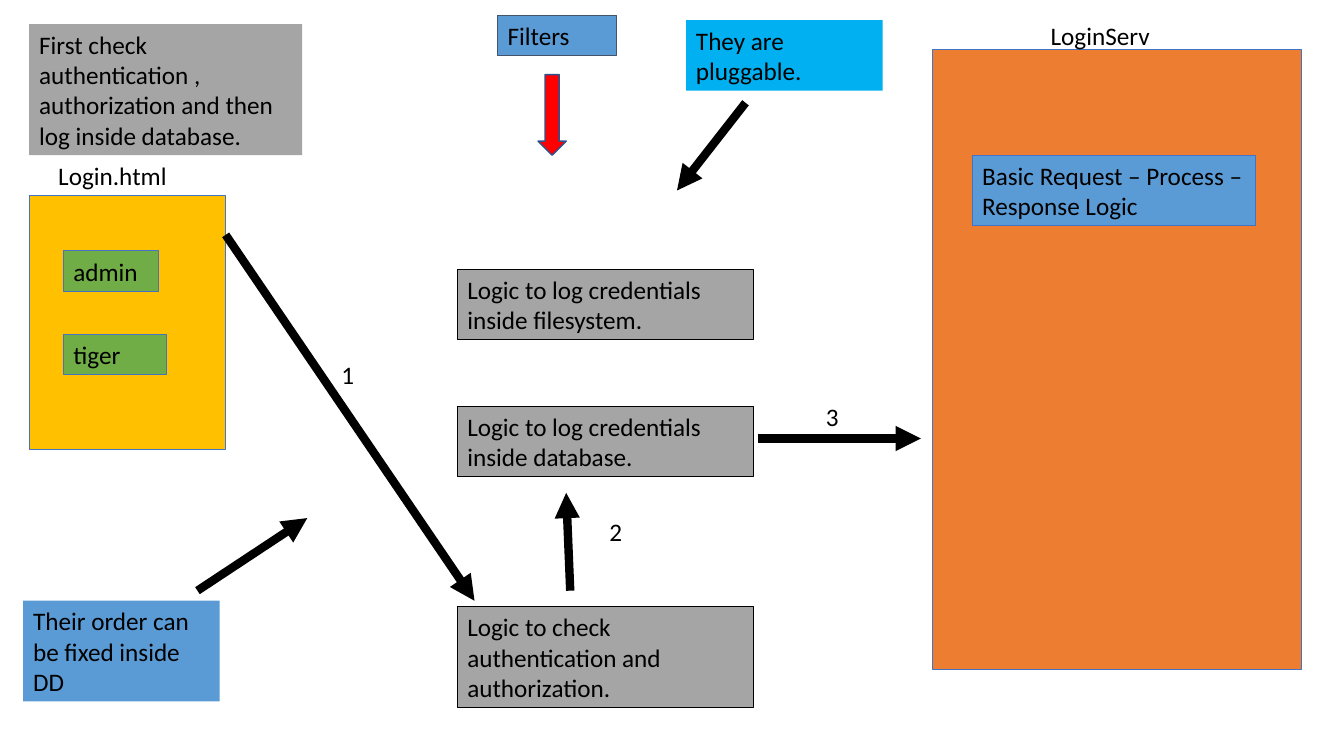
"""Builds a slide showing how login requests pass through pluggable filters."""
from lxml import etree
from pptx import Presentation
from pptx import util as u
from pptx.dml import color
from pptx.enum import shapes, text
from pptx.oxml import ns

COLOURS = {
    "black": "000000", "grey": "A5A5A5", "blue": "5B9BD5", "sky": "00B0F0",
    "orange": "ED7D31", "gold": "FFC000", "green": "70AD47", "red": "FF0000",
    "outline": "4472C4", "slate": "44546A", "navy": "2F528F",
}


class FilterSlide:
    """Holds the style and the slide, laid out on a grid of tenth-inch cells."""

    cell = u.Inches(0.1)
    font = {"name": "Calibri", "size": u.Pt(18)}
    frame = {
        "word_wrap": True,
        "auto_size": text.MSO_AUTO_SIZE.SHAPE_TO_FIT_TEXT,
        "vertical_anchor": text.MSO_ANCHOR.TOP,
    }

    def __init__(self, presentation):
        self.slide = presentation.slides.add_slide(presentation.slide_layouts[6])

    def grid(self, *cells):
        return [round(count * self.cell) for count in cells]

    def colour(self, name):
        return color.RGBColor.from_string(COLOURS[name])

    def apply(self, target, values):
        for name, value in values.items():
            setattr(target, name, value)

    def put_words(self, shape, words):
        self.apply(shape.text_frame, self.frame)
        paragraph = shape.text_frame.paragraphs[0]
        paragraph.text = words
        paragraph.alignment = text.PP_ALIGN.LEFT
        self.apply(paragraph.font, self.font)
        paragraph.font.color.rgb = self.colour("black")

    def block(self, place, fill, line=None, kind=shapes.MSO_SHAPE.RECTANGLE, weight=0.75):
        shape = self.slide.shapes.add_shape(kind, *self.grid(*place))
        shape.shadow.inherit = False
        shape.fill.solid()
        shape.fill.fore_color.rgb = self.colour(fill)
        if line:
            shape.line.color.rgb = self.colour(line)
            shape.line.width = u.Pt(weight)
        else:
            shape.line.fill.background()
        return shape

    def box(self, words, left, top, width, lines, fill, line=None):
        self.put_words(self.block((left, top, width, 3 * lines + 1), fill, line), words)

    def label(self, words, left, top, width):
        self.put_words(self.slide.shapes.add_textbox(*self.grid(left, top, width, 4)), words)

    def arrow(self, *ends):
        connector = self.slide.shapes.add_connector(
            shapes.MSO_CONNECTOR.STRAIGHT, *self.grid(*ends))
        connector.line.color.rgb = self.colour("black")
        connector.line.width = u.Pt(6)
        properties = connector._element.spPr
        etree.SubElement(properties.find(ns.qn("a:ln")), ns.qn("a:tailEnd"), type="triangle")
        etree.SubElement(properties, ns.qn("a:effectLst"))


def main():
    presentation = Presentation()
    presentation.slide_width = u.Inches(13.34)
    presentation.slide_height = u.Inches(7.5)
    page = FilterSlide(presentation)

    page.block((92.6, 4.9, 36.6, 61.5), "orange", "outline")
    page.block((2.9, 19.4, 19.5, 25.2), "gold", "outline")
    page.block((53.4, 7.4, 2.8, 8), "red", "navy", shapes.MSO_SHAPE.DOWN_ARROW, 1)

    for words, left, top, width in (
        ("LoginServ", 103.3, 1.5, 16.3),
        ("Login.html", 4.8, 15.4, 13.3),
        ("1", 32.9, 35.2, 4.3),
        ("2", 59.5, 50.7, 2.1),
        ("3", 81, 39.3, 4.6),
    ):
        page.label(words, left, top, width)

    page.box("admin", 6.3, 24.9, 9.4, 1, "green", "outline")
    page.box("tiger", 6.3, 33.2, 10.2, 1, "green", "outline")
    page.box("Basic Request – Process –Response Logic", 96.5, 15.4, 28.1, 2, "blue", "outline")
    page.box("First check authentication , authorization and then log inside database.",
             2.9, 2.4, 27.1, 4, "grey")
    page.box("Filters", 49.4, 1.5, 11.8, 1, "blue", "slate")
    page.box("Their order can be fixed inside DD", 2.3, 59.6, 19.5, 3, "blue")
    page.box("They are pluggable.", 68.1, 2, 19.5, 2, "sky")

    for words, top, lines in (
        ("Logic to log credentials inside filesystem.", 26.7, 2),
        ("Logic to log credentials inside database.", 40.3, 2),
        ("Logic to check authentication and authorization.", 60.2, 3),
    ):
        page.box(words, 45.4, top, 29.4, lines, "grey", "black")

    for ends in (
        (19.6, 58.6, 30.5, 51.4),
        (22.4, 23.3, 47.1, 59.6),
        (75.2, 43.5, 91.4, 43.5),
        (74, 10.2, 67.2, 18.9),
        (56.6, 58.6, 56.2, 48.9),
    ):
        page.arrow(*ends)

    presentation.save("out.pptx")


if __name__ == "__main__":
    main()
